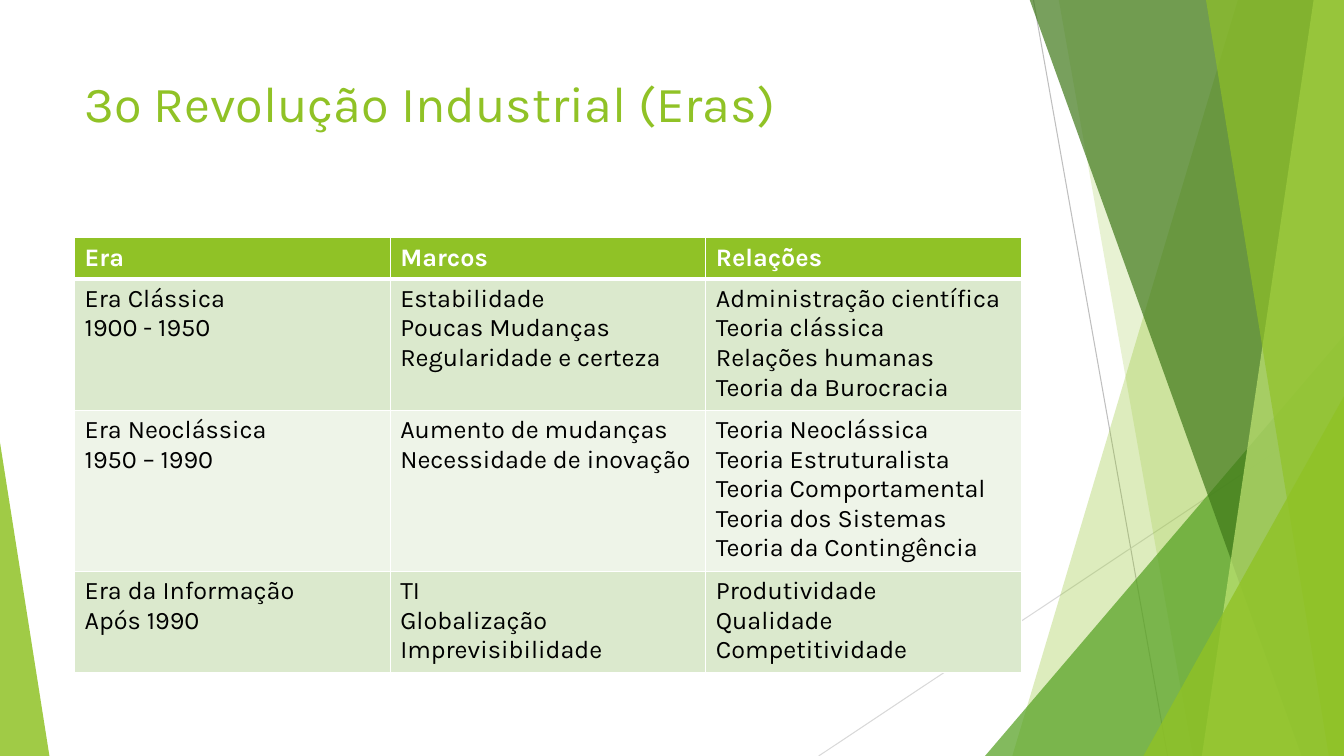
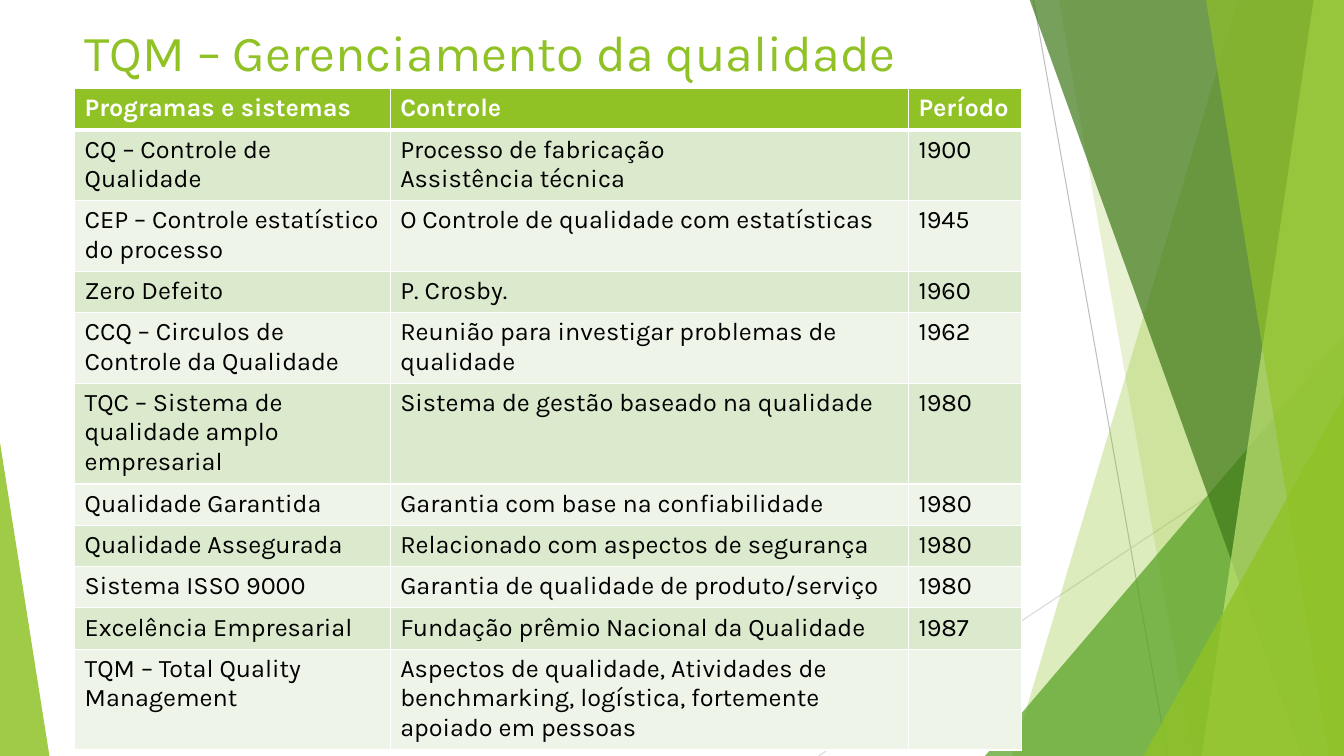
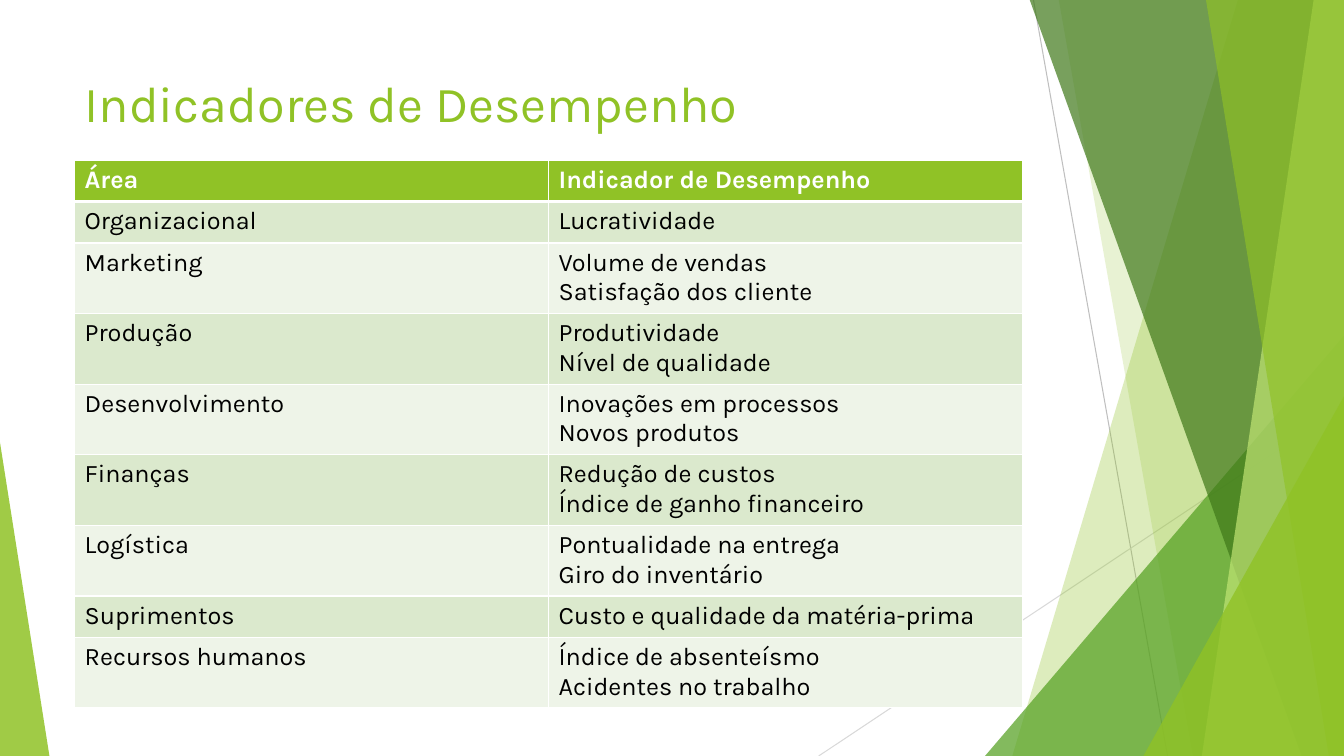
"""Build three slides on industrial eras, quality management and performance indicators."""
import pptx
import pptx.dml.color
import pptx.enum.shapes
import pptx.enum.text
import pptx.oxml
import pptx.oxml.ns
import pptx.util

Inches = pptx.util.Inches
Pt = pptx.util.Pt
RGBColor = pptx.dml.color.RGBColor
SHAPE = pptx.enum.shapes.MSO_SHAPE
STRAIGHT = pptx.enum.shapes.MSO_CONNECTOR.STRAIGHT

FONT = "Karla"
LIME = RGBColor(0x90, 0xC2, 0x26)
GREEN = RGBColor(0x54, 0xA0, 0x21)
FOREST = RGBColor(0x3F, 0x78, 0x19)
PALE_LIME = RGBColor(0xC0, 0xE4, 0x74)
ROW_DARK = RGBColor(0xDB, 0xE9, 0xCD)
ROW_LIGHT = RGBColor(0xEE, 0xF4, 0xE8)
WHITE = RGBColor(0xFF, 0xFF, 0xFF)
BLACK = RGBColor(0x00, 0x00, 0x00)
GREY = RGBColor(0xBF, 0xBF, 0xBF)
LIGHT_GREY = RGBColor(0xD9, 0xD9, 0xD9)

WIDTH, HEIGHT = 13.33, 7.5
LEFT, CONTENT_WIDTH = 0.74, 9.4
ROW_HEIGHT = 0.41

LINES = [
    (10.25, 0, 11.58, HEIGHT, GREY),
    (WIDTH, 4.03, 8.12, HEIGHT, LIGHT_GREY),
]
FACETS = [
    ("band", (12.28, 10.04), LIME, 30),
    ("band", (10.5, 11.83), LIME, 20),
    ("triangle", (9.77, 3.33, 3.56, 1), GREEN, 72),
    ("band", (10.21, 12.91), FOREST, 70),
    ("band", (13.03, 11.92), PALE_LIME, 70),
    ("band", (11.96, 13.18), LIME, 65),
    ("triangle", (11.34, 3.93, 1.99, 1), LIME, 80),
    ("triangle", (0, 4.39, 0.49, 0), LIME, 85),
]

SLIDES = [
    ("3º Revolução Industrial (Eras)", 0.67, 2.36, [3.13, 3.13, 3.13], [
        ["Era", "Marcos", "Relações"],
        ["Era Clássica\n1900 - 1950",
         "Estabilidade\nPoucas Mudanças\nRegularidade e certeza",
         "Administração científica\nTeoria clássica\nRelações humanas\nTeoria da Burocracia"],
        ["Era Neoclássica\n1950 – 1990",
         "Aumento de mudanças\nNecessidade de inovação",
         "Teoria Neoclássica\nTeoria Estruturalista\nTeoria Comportamental\n"
         "Teoria dos Sistemas\nTeoria da Contingência"],
        ["Era da Informação\nApós 1990",
         "TI\nGlobalização\nImprevisibilidade",
         "Produtividade\nQualidade\nCompetitividade"],
    ]),
    ("TQM – Gerenciamento da qualidade", 0.16, 0.88, [3.13, 5.14, 1.12], [
        ["Programas e sistemas", "Controle", "Período"],
        ["CQ – Controle de Qualidade", "Processo de fabricação\nAssistência técnica", "1900"],
        ["CEP – Controle estatístico do processo",
         "O Controle de qualidade com estatísticas", "1945"],
        ["Zero Defeito", "P. Crosby.", "1960"],
        ["CCQ – Circulos de Controle da Qualidade",
         "Reunião para investigar problemas de qualidade", "1962"],
        ["TQC – Sistema de qualidade amplo empresarial",
         "Sistema de gestão baseado na qualidade", "1980"],
        ["Qualidade Garantida", "Garantia com base na confiabilidade", "1980"],
        ["Qualidade Assegurada", "Relacionado com aspectos de segurança", "1980"],
        ["Sistema ISSO 9000", "Garantia de qualidade de produto/serviço", "1980"],
        ["Excelência Empresarial", "Fundação prêmio Nacional da Qualidade", "1987"],
        ["TQM – Total Quality Management",
         "Aspectos de qualidade, Atividades de benchmarking, logística, "
         "fortemente apoiado em pessoas", ""],
    ]),
    ("Indicadores de Desempenho", 0.67, 1.59, [4.7, 4.7], [
        ["Área", "Indicador de Desempenho"],
        ["Organizacional", "Lucratividade"],
        ["Marketing", "Volume de vendas\nSatisfação dos cliente"],
        ["Produção", "Produtividade\nNível de qualidade"],
        ["Desenvolvimento", "Inovações em processos\nNovos produtos"],
        ["Finanças", "Redução de custos\nÍndice de ganho financeiro"],
        ["Logística", "Pontualidade na entrega\nGiro do inventário"],
        ["Suprimentos", "Custo e qualidade da matéria-prima"],
        ["Recursos humanos", "Índice de absenteísmo\nAcidentes no trabalho"],
    ]),
]


def write(tf, text, size, color, bold=False):
    """Fill a text frame with one paragraph for each line of text."""
    for i, line in enumerate(text.split("\n")):
        p = tf.add_paragraph() if i else tf.paragraphs[0]
        if line:
            r = p.add_run()
            r.text = line
            r.font.name = FONT
            r.font.size = Pt(size)
            r.font.bold = bold
            r.font.color.rgb = color


def add_border(cell, side, points):
    """Give one side of a cell a white line."""
    cell._tc.get_or_add_tcPr().append(pptx.oxml.parse_xml(
        f'<a:{side} {pptx.oxml.ns.nsdecls("a")} w="{Pt(points)}"><a:solidFill>'
        f'<a:srgbClr val="{WHITE}"/></a:solidFill></a:{side}>'))


prs = pptx.Presentation()
prs.slide_width = Inches(WIDTH)
prs.slide_height = Inches(HEIGHT)

for title, title_top, table_top, widths, rows in SLIDES:
    s = prs.slides.add_slide(prs.slide_layouts[6])
    s.background.fill.solid()
    s.background.fill.fore_color.rgb = WHITE

    for x1, y1, x2, y2, color in LINES:
        ln = s.shapes.add_connector(STRAIGHT, Inches(x1), Inches(y1), Inches(x2), Inches(y2))
        ln.line.color.rgb = color
        ln.line.width = Pt(0.75)
        ln._element.spPr.append(pptx.oxml.parse_xml(
            f'<a:effectLst {pptx.oxml.ns.nsdecls("a")}/>'))

    for kind, geometry, color, opacity in FACETS:
        if kind == "band":
            top_x, bottom_x = geometry
            fb = s.shapes.build_freeform(Inches(top_x), Inches(-0.01))
            fb.add_line_segments([
                (Inches(WIDTH), Inches(-0.01)),
                (Inches(WIDTH), Inches(HEIGHT)),
                (Inches(bottom_x), Inches(HEIGHT)),
            ])
            sp = fb.convert_to_shape()
        else:
            x, y, w, apex = geometry
            sp = s.shapes.add_shape(SHAPE.ISOSCELES_TRIANGLE, Inches(x), Inches(y),
                                    Inches(w), Inches(HEIGHT - y))
            sp.adjustments[0] = apex
        sp.shadow.inherit = False
        sp.line.fill.background()
        sp.fill.solid()
        sp.fill.fore_color.rgb = color
        clr = sp._element.spPr.xpath(".//a:srgbClr")[0]
        clr.append(pptx.oxml.parse_xml(
            f'<a:alpha {pptx.oxml.ns.nsdecls("a")} val="{opacity * 1000}"/>'))

    tf = s.shapes.add_textbox(Inches(LEFT), Inches(title_top),
                              Inches(CONTENT_WIDTH), Inches(1.44)).text_frame
    tf.word_wrap = True
    tf.vertical_anchor = pptx.enum.text.MSO_ANCHOR.TOP
    write(tf, title, 36, LIME)

    table = s.shapes.add_table(len(rows), len(widths), Inches(LEFT), Inches(table_top),
                               Inches(CONTENT_WIDTH), Inches(ROW_HEIGHT * len(rows))).table
    for column, width in zip(table.columns, widths):
        column.width = Inches(width)
    for i, row in enumerate(rows):
        table.rows[i].height = Inches(ROW_HEIGHT)
        header = i == 0
        for j, text in enumerate(row):
            cell = table.cell(i, j)
            add_border(cell, "lnL", 1)
            add_border(cell, "lnR", 1)
            add_border(cell, "lnT", 3 if i == 1 else 1)
            add_border(cell, "lnB", 3 if header else 1)
            cell.fill.solid()
            cell.fill.fore_color.rgb = LIME if header else ROW_DARK if i % 2 else ROW_LIGHT
            write(cell.text_frame, text, 18, WHITE if header else BLACK, header)

prs.save("out.pptx")
